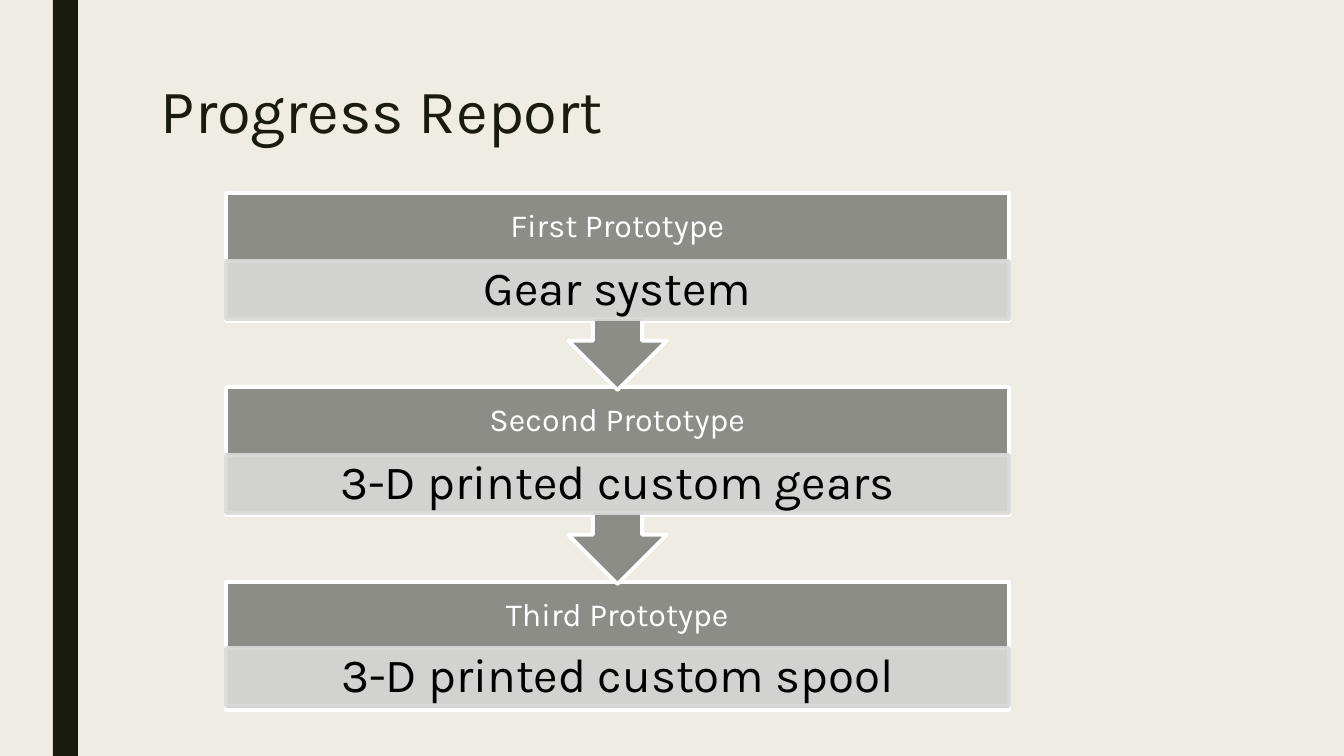
"""Build the Progress Report slide: three prototype stages linked by arrows."""
from lxml.etree import SubElement
from pptx import Presentation
from pptx.dml.color import RGBColor
from pptx.enum.shapes import MSO_SHAPE
from pptx.enum.text import MSO_ANCHOR, PP_ALIGN
from pptx.oxml.ns import qn
from pptx.util import Pt

TITLE = "Progress Report"
STAGES = [
    {"heading": "First Prototype", "detail": "Gear system", "top": 193, "band_offset": 68},
    {"heading": "Second Prototype", "detail": "3-D printed custom gears", "top": 387, "band_offset": 68},
    {"heading": "Third Prototype", "detail": "3-D printed custom spool", "top": 582, "band_offset": 66},
]

FONT = "Karla"
CREAM = RGBColor(0xEF, 0xED, 0xE3)
DARK = RGBColor(0x19, 0x1B, 0x0E)
GRAY = RGBColor(0x8C, 0x8D, 0x86)
PALE = RGBColor(0xDA, 0xDB, 0xD9)
WHITE = RGBColor(0xFF, 0xFF, 0xFF)
BLACK = RGBColor(0x00, 0x00, 0x00)

EMU_PER_PX = 914400 / 100.8
SLIDE_WIDTH, SLIDE_HEIGHT = 1344, 756
STAGE_LEFT, STAGE_WIDTH = 226, 783
BOX_HEIGHT, CALLOUT_HEIGHT = 128, 197
HEADING_HEIGHT, BAND_HEIGHT = 69, 58


def px(value):
    return round(value * EMU_PER_PX)


def add_box(slide, kind, bounds, fill, line=None):
    shape = slide.shapes.add_shape(kind, *map(px, bounds))
    shape.shadow.inherit = False
    shape.fill.solid()
    shape.fill.fore_color.rgb = fill
    if line is None:
        shape.line.fill.background()
    else:
        shape.line.color.rgb = line
        shape.line.width = Pt(2.75)
    return shape


def set_opacity(shape, percent):
    for color in shape.element.spPr.iter(qn("a:srgbClr")):
        SubElement(color, qn("a:alpha")).set("val", str(percent * 1000))


def write_text(shape, text, size, color, insets, align=PP_ALIGN.CENTER,
               anchor=MSO_ANCHOR.MIDDLE, spacing=0.9):
    frame = shape.text_frame
    frame.word_wrap = True
    frame.vertical_anchor = anchor
    frame.margin_left = frame.margin_right = px(insets[0])
    frame.margin_top = frame.margin_bottom = px(insets[1])
    paragraph = frame.paragraphs[0]
    paragraph.alignment = align
    paragraph.line_spacing = spacing
    run = paragraph.add_run()
    run.text = text
    run.font.name = FONT
    run.font.size = Pt(size)
    run.font.color.rgb = color


def add_stage(slide, stage, is_last):
    top = stage["top"]
    if is_last:
        add_box(slide, MSO_SHAPE.RECTANGLE,
                (STAGE_LEFT, top, STAGE_WIDTH, BOX_HEIGHT), GRAY, WHITE)
    else:
        callout = add_box(slide, MSO_SHAPE.UP_ARROW_CALLOUT,
                          (STAGE_LEFT, top, STAGE_WIDTH, CALLOUT_HEIGHT), GRAY, WHITE)
        callout.rotation = 180
    heading = slide.shapes.add_textbox(
        *map(px, (STAGE_LEFT, top, STAGE_WIDTH, HEADING_HEIGHT)))
    write_text(heading, stage["heading"], 23, WHITE, (18, 18))
    band = add_box(slide, MSO_SHAPE.RECTANGLE,
                   (STAGE_LEFT, top + stage["band_offset"], STAGE_WIDTH, BAND_HEIGHT), PALE, PALE)
    set_opacity(band, 90)
    write_text(band, stage["detail"], 34, BLACK, (26, 5))


def main():
    presentation = Presentation()
    presentation.slide_width = px(SLIDE_WIDTH)
    presentation.slide_height = px(SLIDE_HEIGHT)
    slide = presentation.slides.add_slide(presentation.slide_layouts[6])
    slide.background.fill.solid()
    slide.background.fill.fore_color.rgb = CREAM

    add_box(slide, MSO_SHAPE.RECTANGLE, (53, 0, 25, SLIDE_HEIGHT), DARK)
    title = slide.shapes.add_textbox(*map(px, (151, 76, 1058, 163)))
    write_text(title, TITLE, 44, DARK, (10, 5), PP_ALIGN.LEFT, MSO_ANCHOR.TOP, 0.89)

    for stage in reversed(STAGES):
        add_stage(slide, stage, stage is STAGES[-1])
    presentation.save("out.pptx")


if __name__ == "__main__":
    main()
